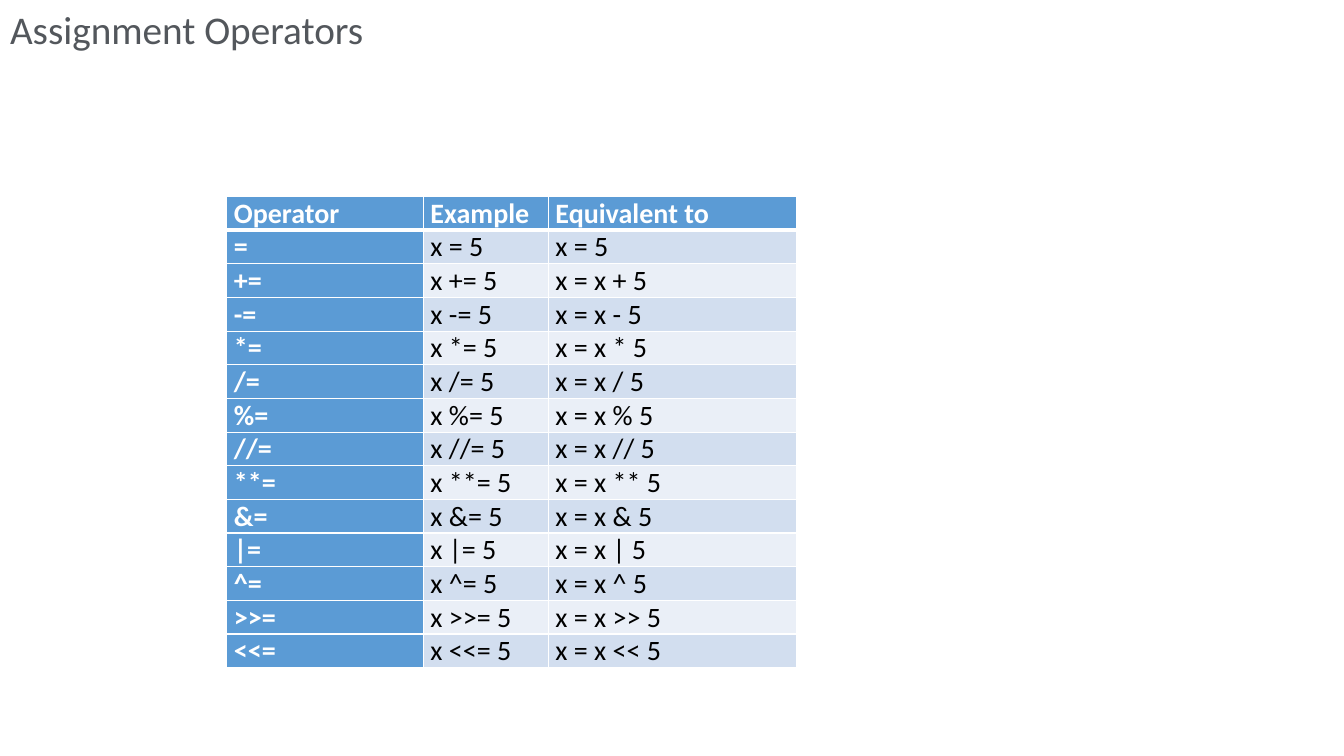
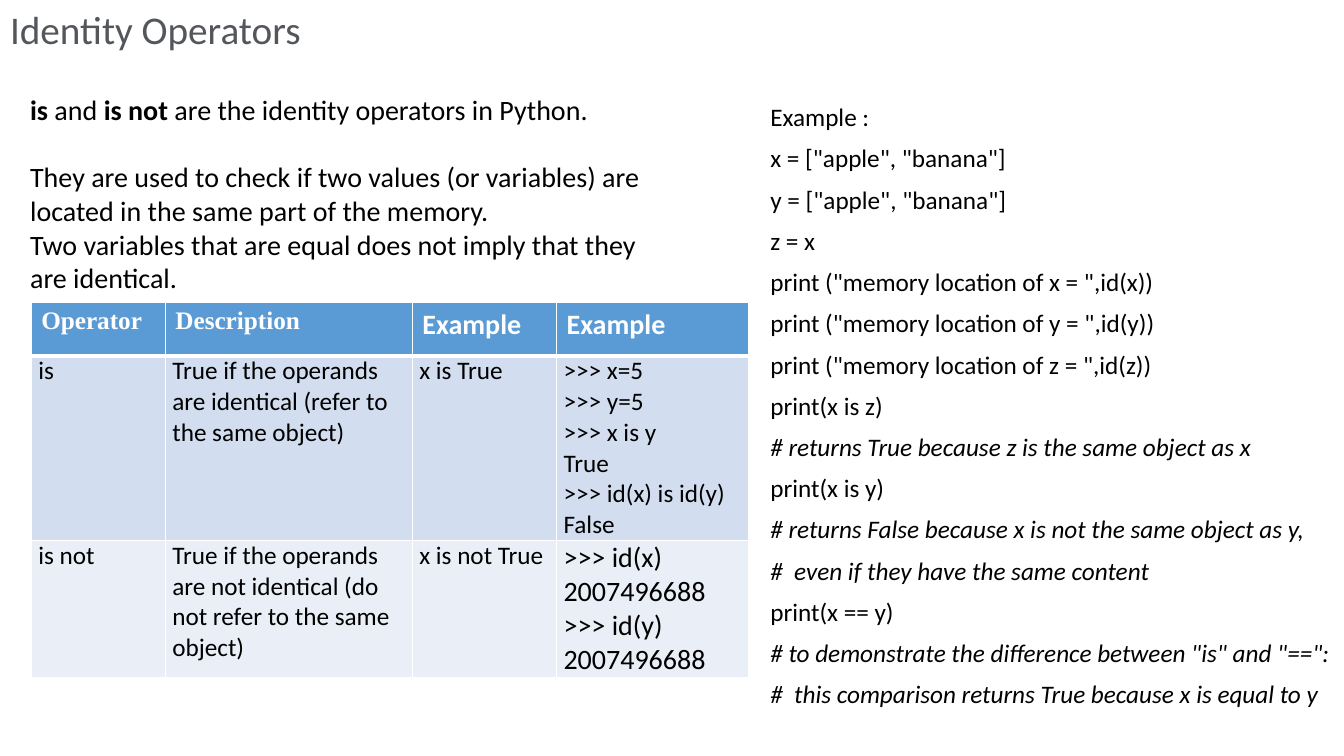
import pptx
import pptx.dml.color
import pptx.enum.text
import pptx.oxml.ns
import pptx.util
import lxml.etree

GREY = pptx.dml.color.RGBColor(0x53, 0x57, 0x5C)
BLACK = pptx.dml.color.RGBColor(0, 0, 0)
WHITE = pptx.dml.color.RGBColor(255, 255, 255)
BLUE = pptx.dml.color.RGBColor(0x5B, 0x9B, 0xD5)
BANDS = (pptx.dml.color.RGBColor(0xD2, 0xDE, 0xEF),
         pptx.dml.color.RGBColor(0xEA, 0xEF, 0xF7))
SANS = "Calibri"
SERIF = "Times New Roman"


def box(item, left, top, width, height):
    item.left = pptx.util.Inches(left)
    item.top = pptx.util.Inches(top)
    item.width = pptx.util.Inches(width)
    item.height = pptx.util.Inches(height)


def add(parent, tag, **attrs):
    return lxml.etree.SubElement(parent, pptx.oxml.ns.qn(tag), attrs)


class Deck:
    def __init__(self):
        self.prs = pptx.Presentation()
        self.prs.slide_width = pptx.util.Inches(13.33)
        self.prs.slide_height = pptx.util.Inches(7.5)
        self.slide = None

    def page(self, title, width, layout):
        self.slide = self.prs.slides.add_slide(self.prs.slide_layouts[layout])
        head = self.slide.shapes.title
        box(head, 0, 0, width, 0.57)
        frame = head.text_frame
        frame.vertical_anchor = pptx.enum.text.MSO_ANCHOR.TOP
        frame.word_wrap = False
        frame.auto_size = pptx.enum.text.MSO_AUTO_SIZE.SHAPE_TO_FIT_TEXT
        para = frame.paragraphs[0]
        para.alignment = pptx.enum.text.PP_ALIGN.LEFT
        self.run(para, title, 28, GREY)

    def run(self, para, text, size, color=BLACK, bold=False, italic=False, face=SANS):
        run = para.add_run()
        run.text = text
        font = run.font
        font.name = face
        font.size = pptx.util.Pt(size)
        font.bold = bold
        font.italic = italic
        font.color.rgb = color

    def paras(self, frame, count):
        for _ in range(count - 1):
            frame.add_paragraph()
        return frame.paragraphs

    def note(self, lines, place, gaps):
        shape = self.slide.shapes.add_textbox(0, 0, 0, 0)
        box(shape, *place)
        frame = shape.text_frame
        frame.word_wrap = True
        for row, (para, runs) in enumerate(zip(self.paras(frame, len(lines)), lines)):
            if row in gaps:
                para.space_before = pptx.util.Pt(gaps[row])
            for text, bold in runs:
                self.run(para, text, 20, bold=bold)

    def code(self, lines, place):
        body = self.slide.placeholders[1]
        box(body, *place)
        frame = body.text_frame
        frame.auto_size = pptx.enum.text.MSO_AUTO_SIZE.NONE
        for row, (para, text) in enumerate(zip(self.paras(frame, len(lines)), lines)):
            props = para._p.get_or_add_pPr()
            props.set("marL", str(pptx.util.Inches(0.25)))
            props.set("indent", str(pptx.util.Inches(-0.25)))
            add(props, "a:buNone")
            para.line_spacing = 0.9
            para.space_before = pptx.util.Pt(10 if row else 0)
            self.run(para, text, 18, italic=text.startswith("#"))

    def edge(self, cell, head):
        props = cell._tc.get_or_add_tcPr()
        for side in "LRTB":
            width = pptx.util.Pt(3 if head and side == "B" else 1)
            line = add(props, "a:ln" + side, w=str(width))
            add(add(line, "a:solidFill"), "a:srgbClr", val=str(WHITE))

    def cell(self, cell, text, fill, bold, size, face=SANS, head=False, pad=(0.07, 0)):
        self.edge(cell, head)
        cell.fill.solid()
        cell.fill.fore_color.rgb = fill
        cell.margin_left = cell.margin_right = pptx.util.Inches(pad[0])
        cell.margin_top = cell.margin_bottom = pptx.util.Inches(pad[1])
        lines = text.split("\n")
        for para, line in zip(self.paras(cell.text_frame, len(lines)), lines):
            self.run(para, line, size, WHITE if bold else BLACK, bold, face=face)

    def table(self, rows, place, cols, highs, sizes, pad=(0.07, 0), serif=0, side=False):
        left, top = map(pptx.util.Inches, place)
        wide, high = (pptx.util.Inches(sum(part)) for part in (cols, highs))
        frame = self.slide.shapes.add_table(len(rows), len(cols), left, top, wide, high)
        grid = frame.table
        grid.first_col = side
        for col, width in zip(grid.columns, cols):
            col.width = pptx.util.Inches(width)
        for row, height in zip(grid.rows, highs):
            row.height = pptx.util.Inches(height)
        for r, row in enumerate(rows):
            for c, text in enumerate(row):
                cell = grid.cell(r, c)
                if r == 0:
                    old = c < serif
                    self.cell(cell, text, BLUE, True, 18 if old else 20,
                              SERIF if old else SANS, True, pad)
                else:
                    bold = side and c == 0
                    self.cell(cell, text, BLUE if bold else BANDS[(r - 1) % 2],
                              bold, sizes.get((r, c), sizes["all"]))


def main():
    deck = Deck()
    deck.page("Assignment Operators", 3.71, 5)
    signs = ["+", "-", "*", "/", "%", "//", "**", "&", "|", "^", ">>", "<<"]
    rows = [("Operator", "Example", "Equivalent to"), ("=", "x = 5", "x = 5")]
    rows += [(f"{sign}=", f"x {sign}= 5", f"x = x {sign} 5") for sign in signs]
    deck.table(rows, (2.25, 1.95), (1.95, 1.24, 2.46), [4.67 / len(rows)] * len(rows),
               {"all": 20}, side=True)

    deck.page("Identity Operators", 3.09, 1)
    rows = [
        ("Operator", "Description", "Example", "Example"),
        ("is", "True if the operands are identical (refer to the same object)",
         "x is True",
         ">>> x=5\n>>> y=5\n>>> x is y\nTrue\n>>> id(x) is id(y)\nFalse"),
        ("is not",
         "True if the operands are not identical (do not refer to the same object)",
         "x is not True", ">>> id(x)\n2007496688\n>>> id(y)\n2007496688"),
    ]
    deck.table(rows, (0.31, 3), (1.33, 2.45, 1.43, 1.9), (0.53, 1.8, 1.33),
               {"all": 18, (2, 3): 20}, pad=(0.1, 0.05), serif=2)
    deck.note([
        [("is", True), (" and ", False), ("is not", True),
         (" are the identity operators in Python.", False)],
        [("They are used to check if two values (or variables) are", False)],
        [("located in the same part of the memory.", False)],
        [("Two variables that are equal does not imply that they", False)],
        [("are identical.", False)],
    ], (0.2, 0.87, 8.81, 2.12), {1: 24})
    deck.code([
        "Example :",
        'x = ["apple", "banana"]',
        'y = ["apple", "banana"]',
        "z = x",
        *(f'print ("memory location of {name} = ",id({name}))' for name in "xyz"),
        "print(x is z)",
        "# returns True because z is the same object as x",
        "print(x is y)",
        "# returns False because x is not the same object as y,",
        "#  even if they have the same content",
        "print(x == y)",
        '# to demonstrate the difference between "is" and "==":',
        "#  this comparison returns True because x is equal to y",
    ], (7.54, 0.99, 5.79, 6.33))
    deck.prs.save("out.pptx")


if __name__ == "__main__":
    main()
